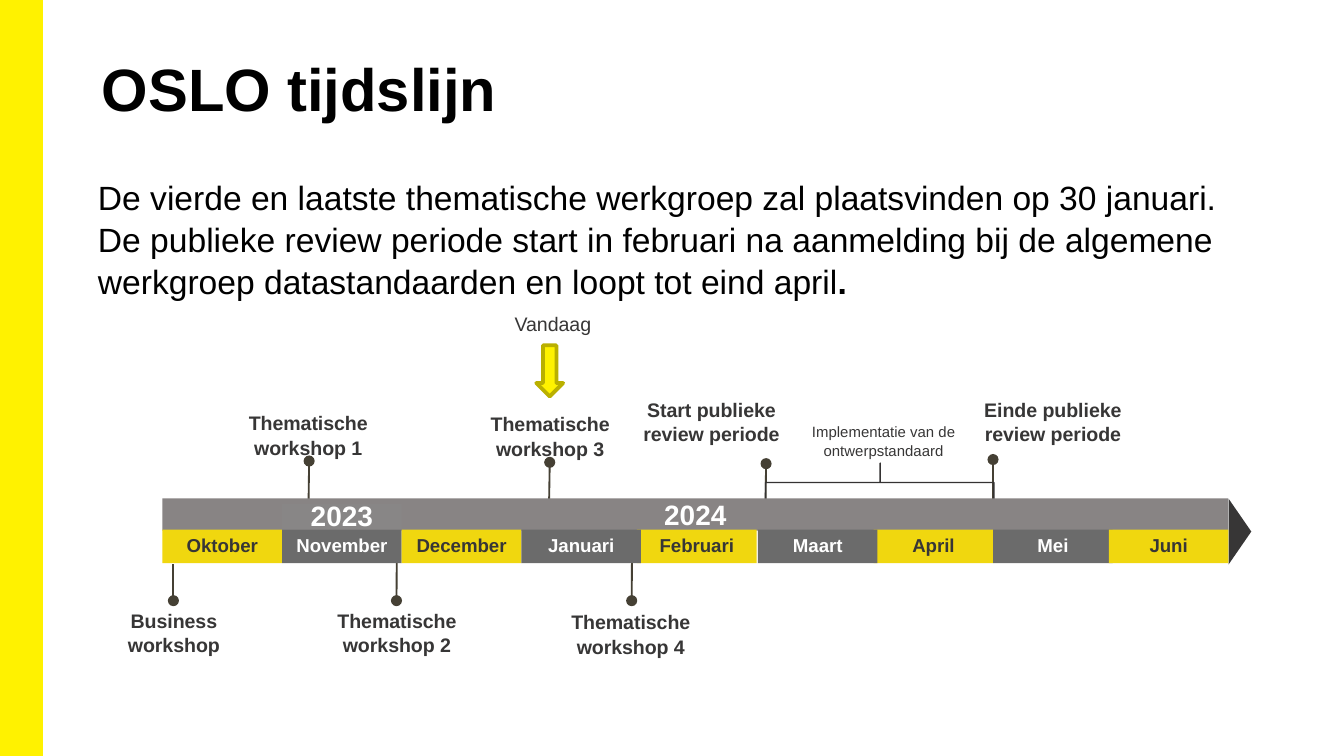
"""Build the OSLO timeline slide."""
from dataclasses import dataclass

import pptx
import pptx.dml.color
import pptx.enum.shapes
import pptx.enum.text
import pptx.oxml
import pptx.oxml.ns
import pptx.util

Pt = pptx.util.Pt
SHAPES = pptx.enum.shapes.MSO_SHAPE
ANCHOR = pptx.enum.text.MSO_ANCHOR
ALIGN = pptx.enum.text.PP_ALIGN


@dataclass(frozen=True)
class Theme:
    """Colours, font and type sizes of the slide."""
    font: str = "Arial"
    accent: str = "FFF200"
    accent_edge: str = "BAB000"
    month_light: str = "F0D70F"
    month_dark: str = "6B6B6B"
    bar: str = "888484"
    year_box: str = "888686"
    stem: str = "454034"
    brace: str = "353333"
    ink: str = "373636"
    black: str = "000000"
    white: str = "FFFFFF"
    title: float = 32
    body: float = 18
    year: float = 15
    label: float = 10.5
    month: float = 10
    note: float = 8
    spacing: float = 1.05


@dataclass(frozen=True)
class Box:
    """A rectangle in points."""
    left: float
    top: float
    width: float
    height: float

    def inner(self, x, y, width, height):
        """Return a box placed relative to this one."""
        return Box(self.left + x, self.top + y, width, height)

    def lengths(self):
        """Return the four lengths for python-pptx."""
        return Pt(self.left), Pt(self.top), Pt(self.width), Pt(self.height)


THEME = Theme()
MONTHS = [
    ("Oktober", 0, True), ("November", 64.1, False), ("December", 128.2, True),
    ("Februari", 254.2, True), ("April", 381, True), ("Mei", 445, False),
    ("Juni", 507, True), ("Januari", 192.3, False), ("Maart", 319, False),
]
MILESTONES = [
    ("Thematische workshop 1", (34.7, -47.4), (78.6, -20), (78, 24)),
    ("Thematische workshop 3", (164.3, -46.7), (207.5, -19.3), (206.8, 24.5)),
    ("Start publieke review periode", (250.7, -54.6), (323.4, -18.6), (322.8, 25)),
    ("Einde publieke review periode", (433.6, -54.6), (445, -20.8), (445, 29)),
    ("Business workshop", (-37.3, 58.4), (5.9, 54.8), (5.9, 35)),
    ("Thematische workshop 2", (82.2, 58.4), (125.4, 54.8), (125.6, 24.6)),
    ("Thematische workshop 4", (207.5, 59.2), (251.4, 54.8), (251.6, 24.6)),
]


def rgb(value):
    """Turn a hex string into a colour."""
    return pptx.dml.color.RGBColor.from_string(value)


def write_text(shape, text, *, size, color=THEME.ink, bold=False, align=ALIGN.CENTER,
               anchor=ANCHOR.TOP, insets=(0, 0, 0, 0), spacing=THEME.spacing, bold_end=""):
    """Write one paragraph per line of text, with an optional bold ending."""
    frame = shape.text_frame
    frame.word_wrap = True
    frame.vertical_anchor = anchor
    frame.margin_left, frame.margin_top, frame.margin_right, frame.margin_bottom = map(Pt, insets)
    lines = text.split("\n")
    for index, line in enumerate(lines):
        paragraph = frame.paragraphs[0] if index == 0 else frame.add_paragraph()
        paragraph.alignment = align
        paragraph.line_spacing = spacing
        pieces = [(line, bold)]
        if bold_end and index == len(lines) - 1:
            pieces.append((bold_end, True))
        for content, heavy in pieces:
            run = paragraph.add_run()
            run.text = content
            run.font.name = THEME.font
            run.font.size = Pt(size)
            run.font.bold = heavy
            run.font.color.rgb = rgb(color)


def add_text(slide, box, text, **text_format):
    """Add a text box."""
    write_text(slide.shapes.add_textbox(*box.lengths()), text, **text_format)


def add_shape(slide, kind, box, fill=None, line=None, weight=1):
    """Add a preset shape without shadow."""
    shape = slide.shapes.add_shape(kind, *box.lengths())
    shape.shadow.inherit = False
    if fill:
        shape.fill.solid()
        shape.fill.fore_color.rgb = rgb(fill)
    else:
        shape.fill.background()
    if line:
        shape.line.color.rgb = rgb(line)
        shape.line.width = Pt(weight)
    else:
        shape.line.fill.background()
    return shape


def add_stem(slide, box, dot, foot):
    """Draw a line with a round head at its dot end."""
    ends = [Pt(value) for x, y in (dot, foot) for value in (box.left + x, box.top + y)]
    stem = slide.shapes.add_connector(pptx.enum.shapes.MSO_CONNECTOR.STRAIGHT, *ends)
    stem.line.color.rgb = rgb(THEME.stem)
    stem.line.width = Pt(1)
    head = pptx.oxml.parse_xml(f'<a:headEnd {pptx.oxml.ns.nsdecls("a")} type="oval"/>')
    stem.line._get_or_add_ln().append(head)
    properties = stem._element.spPr
    properties.append(pptx.oxml.parse_xml(f'<a:effectLst {pptx.oxml.ns.nsdecls("a")}/>'))


def add_heading(slide, box):
    """Place the title and the introduction."""
    insets = (5, 2.9, 5, 2.9)
    add_text(slide, box.inner(2, 0, box.width, 58.3), "OSLO tijdslijn", size=THEME.title,
             color=THEME.black, bold=True, align=ALIGN.LEFT, insets=insets, spacing=1.08)
    add_text(slide, box.inner(0, 69.1, box.width, 58.3),
             "De vierde en laatste thematische werkgroep zal plaatsvinden op 30 januari.\n"
             "De publieke review periode start in februari na aanmelding bij de algemene "
             "werkgroep datastandaarden en loopt tot eind april",
             size=THEME.body, color=THEME.black, align=ALIGN.LEFT, insets=insets, bold_end=".")


def add_milestones(slide, box):
    """Place the stems and labels around the bar."""
    for label, place, dot, foot in MILESTONES:
        add_stem(slide, box, dot, foot)
        add_text(slide, box.inner(*place, 87, 30), label, size=THEME.label, bold=True)


def add_bar(slide, box):
    """Place the arrow point, the years and the months."""
    point = add_shape(slide, SHAPES.ISOSCELES_TRIANGLE,
                      box.inner(559.6, 11.7, 35.3, 12.2), THEME.ink)
    point.rotation = 90
    year = dict(size=THEME.year, color=THEME.white, bold=True, anchor=ANCHOR.MIDDLE, spacing=1)
    month_insets = (5.8, 5.8, 5.8, 7.2)
    bar = add_shape(slide, SHAPES.RECTANGLE, box.inner(0, 0, box.width, 17.3), THEME.bar)
    write_text(bar, "2024", insets=(7.2, 3.6, 7.2, 3.6), **year)
    for name, x, light in MONTHS:
        fill = THEME.month_light if light else THEME.month_dark
        month = add_shape(slide, SHAPES.RECTANGLE, box.inner(x, 16.7, 64.1, 18), fill)
        write_text(month, name, size=THEME.month, color=THEME.ink if light else THEME.white,
                   bold=True, anchor=ANCHOR.MIDDLE, insets=month_insets, spacing=1)
    previous = add_shape(slide, SHAPES.RECTANGLE, box.inner(64.1, 3, 64.1, 13.7), THEME.year_box)
    write_text(previous, "2023", insets=month_insets, **year)


def add_implementation(slide, box):
    """Place the brace and note for the implementation period."""
    brace = add_shape(slide, SHAPES.LEFT_BRACE, box.inner(373.8, -69.7, 20.9, 122.4),
                      line=THEME.brace, weight=0.75)
    brace.rotation = 90
    brace.adjustments[0] = 0
    brace.adjustments[1] = 0.498
    add_text(slide, box.inner(338.5, -40.9, 95.8, 30),
             "Implementatie van de ontwerpstandaard", size=THEME.note)


def add_today(slide, box):
    """Place the label and arrow for today."""
    add_text(slide, box.inner(0, 0, box.width, 18.7), "Vandaag", size=THEME.label)
    add_shape(slide, SHAPES.DOWN_ARROW, box.inner(34.6, 18.7, 14.4, 27.4),
              THEME.accent, THEME.accent_edge, 2)


def main():
    """Build and save the presentation."""
    presentation = pptx.Presentation()
    presentation.slide_width, presentation.slide_height = Pt(720), Pt(405)
    slide = presentation.slides.add_slide(presentation.slide_layouts[6])
    timeline = Box(87, 267, 571, 35)
    add_shape(slide, SHAPES.RECTANGLE, Box(0, 0, 22.5, 405), THEME.accent, THEME.accent)
    add_heading(slide, Box(47.5, 21.6, 620.6, 127.4))
    add_milestones(slide, timeline)
    add_implementation(slide, timeline)
    add_bar(slide, timeline)
    add_today(slide, Box(252.7, 166.3, 87, 46.1))
    presentation.save("out.pptx")


if __name__ == "__main__":
    main()
